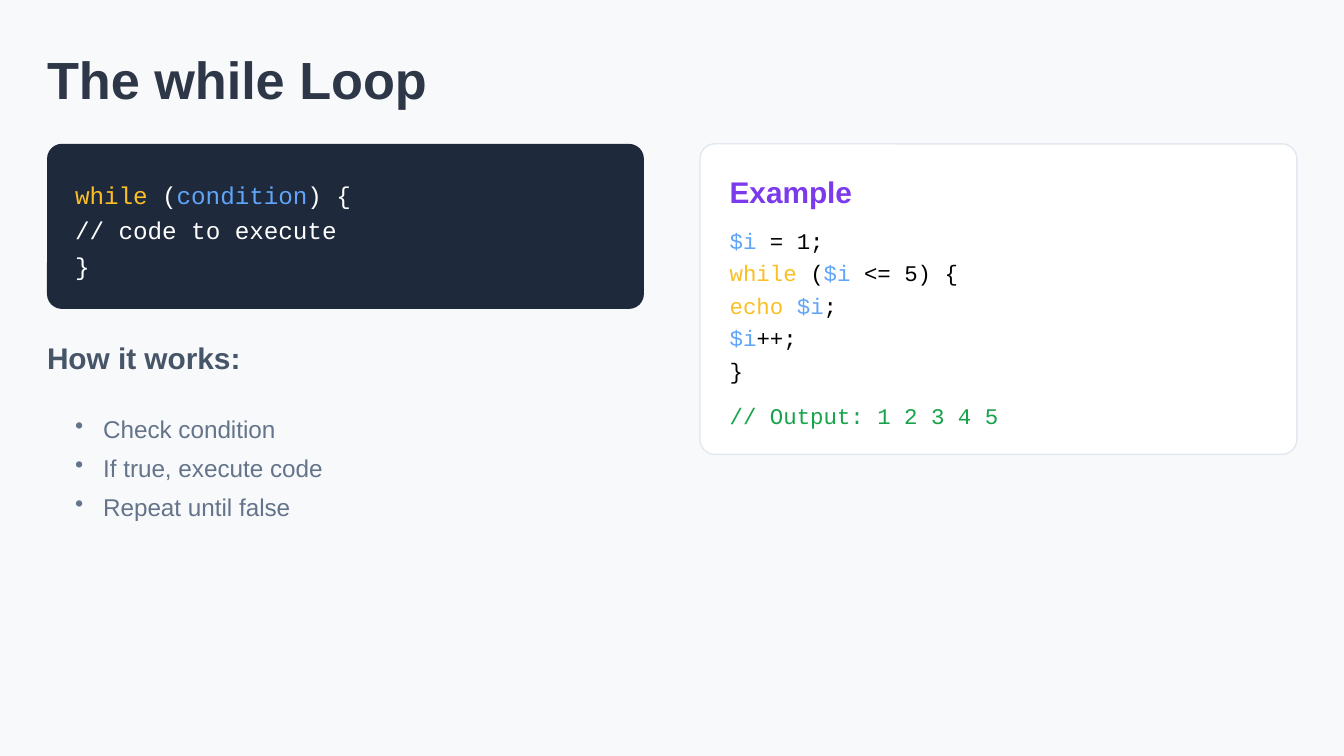
import lxml.etree
import pptx
import pptx.dml.color
import pptx.enum.shapes
import pptx.enum.text
import pptx.oxml.ns
import pptx.util
from dataclasses import dataclass
from pptx.util import Cm


@dataclass(frozen=True)
class Theme:
    background: str = "F8F9FA"
    title: str = "2D3748"
    dark: str = "1E293B"
    heading: str = "475569"
    body: str = "64748B"
    white: str = "FFFFFF"
    black: str = "000000"
    border: str = "E2E8F0"
    accent: str = "7C3AED"
    keyword: str = "FBBF24"
    variable: str = "60A5FA"
    output: str = "16A34A"
    sans: str = "Arial"
    mono: str = "Courier New"
    title_size: float = 28
    heading_size: float = 16
    body_size: float = 13
    example_size: float = 12


theme = Theme()


def color(value):
    return pptx.dml.color.RGBColor.from_string(value)


def write(frame, lines, font, size, bold=False, gap=0):
    frame.word_wrap = True
    frame.auto_size = pptx.enum.text.MSO_AUTO_SIZE.NONE
    frame.vertical_anchor = pptx.enum.text.MSO_ANCHOR.TOP
    frame.margin_left = frame.margin_top = frame.margin_right = frame.margin_bottom = 0
    for index, line in enumerate(lines):
        paragraph = frame.add_paragraph() if index else frame.paragraphs[0]
        paragraph.alignment = pptx.enum.text.PP_ALIGN.LEFT
        paragraph.space_before = pptx.util.Pt(gap if index else 0)
        for text, ink in line:
            run = paragraph.add_run()
            run.text = text
            run.font.name = font
            run.font.size = pptx.util.Pt(size)
            run.font.bold = bold
            run.font.color.rgb = color(ink)
    return frame


presentation = pptx.Presentation()
presentation.slide_width = Cm(25.4)
presentation.slide_height = Cm(14.29)
slide = presentation.slides.add_slide(presentation.slide_layouts[5])
slide.background.fill.solid()
slide.background.fill.fore_color.rgb = color(theme.background)

title = slide.shapes.title
title.left, title.top, title.width, title.height = Cm(0.89), Cm(0.89), Cm(24.1), Cm(1.14)
write(title.text_frame, [[("The while Loop", theme.title)]], theme.sans, theme.title_size, bold=True)

cards = [
    (0.89, 3.12, 0.09, theme.dark, None),
    (13.23, 5.87, 0.048, theme.white, theme.border),
]
for left, height, rounding, fill, border in cards:
    card = slide.shapes.add_shape(
        pptx.enum.shapes.MSO_SHAPE.ROUNDED_RECTANGLE, Cm(left), Cm(2.72), Cm(11.28), Cm(height))
    card.shadow.inherit = False
    card.adjustments[0] = rounding
    card.fill.solid()
    card.fill.fore_color.rgb = color(fill)
    if border:
        card.line.color.rgb = color(border)
        card.line.width = pptx.util.Pt(0.75)
    else:
        card.line.fill.background()

syntax_lines = [
    [("while", theme.keyword), (" (", theme.white), ("condition", theme.variable), (") {", theme.white)],
    [("// code to execute", theme.white)],
    [("}", theme.white)],
]
example_lines = [
    [("$i", theme.variable), (" = 1;", theme.black)],
    [("while", theme.keyword), (" (", theme.black), ("$i", theme.variable), (" <= 5) {", theme.black)],
    [("echo ", theme.keyword), ("$i", theme.variable), (";", theme.black)],
    [("$i", theme.variable), ("++;", theme.black)],
    [("}", theme.black)],
    [("// Output: 1 2 3 4 5", theme.output)],
]
steps = [[(step, theme.body)] for step in ("Check condition", "If true, execute code", "Repeat until false")]

blocks = [
    (1.42, 3.4, 10.44, 1.8, syntax_lines, theme.mono, theme.body_size, False, 3.5),
    (0.89, 6.43, 11.5, 0.66, [[("How it works:", theme.heading)]], theme.sans, theme.heading_size, True, 0),
    (0.89, 7.65, 11.28, 2.2, steps, theme.sans, theme.body_size, False, 0),
    (13.79, 3.28, 10.4, 0.66, [[("Example", theme.accent)]], theme.sans, theme.heading_size, True, 0),
    (13.79, 4.29, 10.4, 3.64, example_lines, theme.mono, theme.example_size, False, 3),
]
frames = []
for left, top, width, height, lines, font, size, bold, gap in blocks:
    box = slide.shapes.add_textbox(Cm(left), Cm(top), Cm(width), Cm(height))
    frames.append(write(box.text_frame, lines, font, size, bold, gap))

syntax_frame, works_frame, steps_frame, heading_frame, example_frame = frames
example_frame.paragraphs[-1].space_before = pptx.util.Pt(10)
steps_frame.margin_left = Cm(0.53)
for paragraph in steps_frame.paragraphs:
    paragraph.line_spacing = pptx.util.Pt(20.8)
    properties = paragraph._p.get_or_add_pPr()
    properties.set("marL", str(Cm(0.53)))
    properties.set("indent", str(-Cm(0.53)))
    bullet = lxml.etree.SubElement(properties, pptx.oxml.ns.qn("a:buChar"))
    bullet.set("char", "•")

presentation.save("out.pptx")
